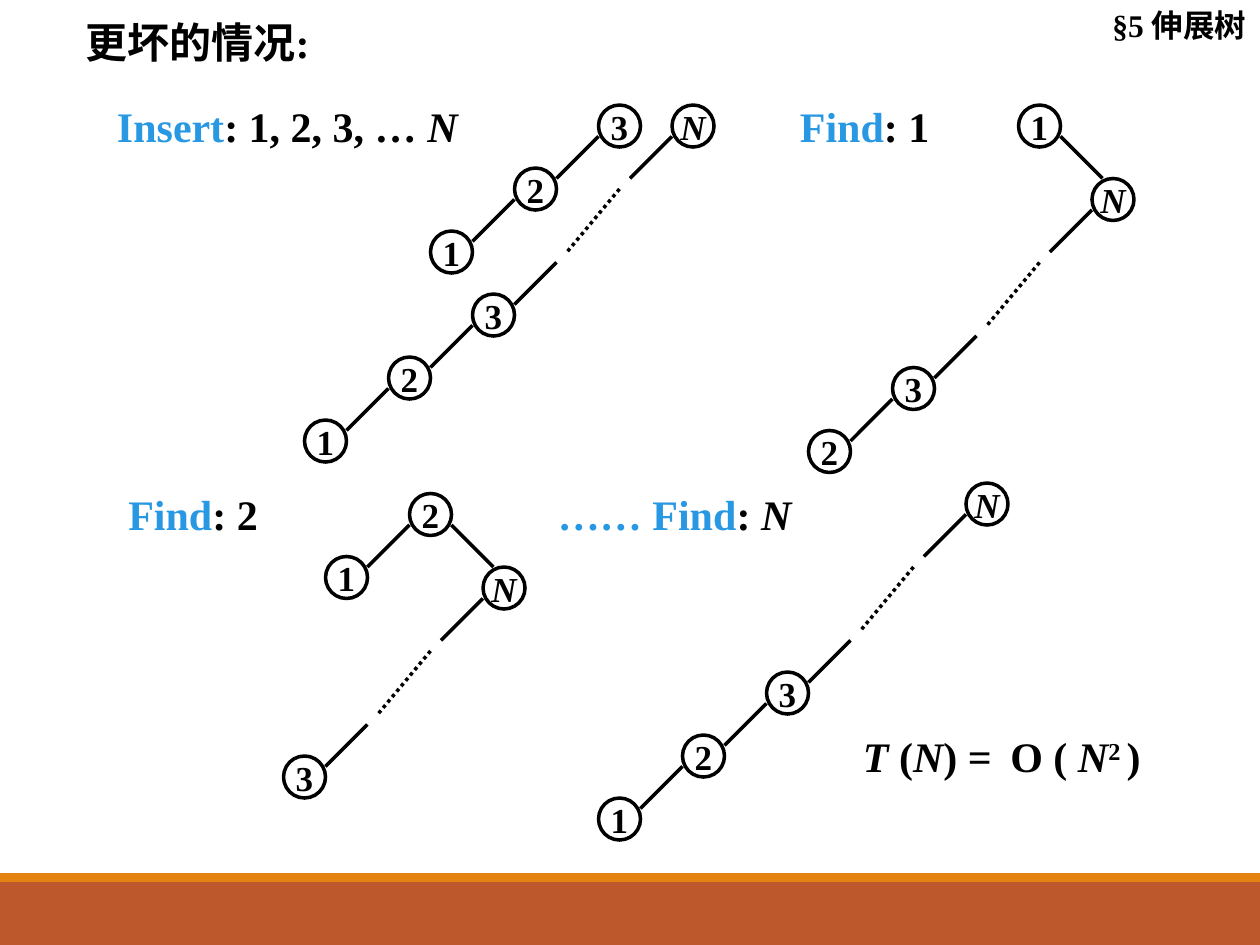
"""Build the splay tree worst-case slide with five example trees."""
from lxml.etree import SubElement
from pptx import Presentation
from pptx.dml.color import RGBColor
from pptx.enum.dml import MSO_LINE
from pptx.enum.shapes import MSO_CONNECTOR, MSO_SHAPE
from pptx.enum.text import MSO_ANCHOR, PP_ALIGN
from pptx.oxml.ns import qn
from pptx.util import Inches, Pt

BLACK, BLUE = "000000", "2998E3"
color = RGBColor.from_string


def write_runs(text_frame, runs, size=24, align=PP_ALIGN.LEFT):
    """Fill the first paragraph with (text, style) runs."""
    paragraph = text_frame.paragraphs[0]
    paragraph.alignment = align
    paragraph.font.size = Pt(size)
    paragraph.font.name = "Times New Roman"
    paragraph.font.bold = True
    for text, style in runs:
        run = paragraph.add_run()
        run.text = text
        run.font.color.rgb = color(BLUE if style == "blue" else BLACK)
        if style == "italic":
            run.font.italic = True
        if style == "super":
            run._r.get_or_add_rPr().set("baseline", "30000")


presentation = Presentation()
presentation.slide_width, presentation.slide_height = Inches(10), Inches(7.5)
slide = presentation.slides.add_slide(presentation.slide_layouts[5])

for top, height, fill in [(7, 0.5, "BD582C"), (6.93, 0.07, "E48312")]:
    bar = slide.shapes.add_shape(
        MSO_SHAPE.RECTANGLE, 0, Inches(top), Inches(10), Inches(height))
    bar.shadow.inherit = False
    bar.fill.solid()
    bar.fill.fore_color.rgb = color(fill)
    bar.line.fill.background()

title = slide.shapes.title
title.left, title.top = Inches(0.58), Inches(0.08)
title.width, title.height = Inches(4.08), Inches(0.5)
title.text_frame.vertical_anchor = MSO_ANCHOR.TOP
write_runs(title.text_frame, [("更坏的情况:", "")])

header = slide.shapes.add_textbox(Inches(7.83), 0, Inches(2.16), Inches(0.4))
header.text_frame.word_wrap = True
write_runs(header.text_frame, [("§5 伸展树", "")], 18, PP_ALIGN.RIGHT)

labels = [
    (0.83, 0.75, 4.08, [("Insert", "blue"), (": 1, 2, 3, … ", ""), ("N", "italic")]),
    (6.25, 0.75, 1.42, [("Find", "blue"), (": 1", "")]),
    (0.92, 3.83, 1.42, [("Find", "blue"), (": 2", "")]),
    (4.33, 3.83, 2.58, [("…… Find", "blue"), (": ", ""), ("N", "italic")]),
    (6.75, 5.75, 1.42, [("T", "italic"), (" (", ""), ("N", "italic"), (") =", "")]),
    (7.92, 5.75, 1.5, [("O ( ", ""), ("N", "italic"), ("2 ", "super"), (")", "")]),
]
for left, top, width, runs in labels:
    label = slide.shapes.add_textbox(
        Inches(left), Inches(top), Inches(width), Inches(0.5))
    label.text_frame.word_wrap = True
    write_runs(label.text_frame, runs)

UNIT = Inches(1) // 12
NODE_SIZE = 4
child_offsets = {"left": (-8, 6), "right": (7, 7), "gap": (-19, 18)}
branch_lines = {
    "left": [(0, 3, -4, 7)],
    "right": [(4, 3, 8, 7)],
    "gap": [(0, 3, -4, 7), (-5, 8, -10, 14), (-11, 15, -15, 19)],
}
trees = [
    ("3", 57, 10, [("3", "left", "2"), ("2", "left", "1")]),
    ("N", 64, 10, [("N", "gap", "3"), ("3", "left", "2"), ("2", "left", "1")]),
    ("1", 97, 10, [("1", "right", "N"), ("N", "gap", "3"), ("3", "left", "2")]),
    ("2", 39, 47, [("2", "left", "1"), ("2", "right", "N"), ("N", "gap", "3")]),
    ("N", 92, 46, [("N", "gap", "3"), ("3", "left", "2"), ("2", "left", "1")]),
]
for root, root_x, root_y, branches in trees:
    group = slide.shapes.add_group_shape()
    nodes = {root: (root_x, root_y)}
    for parent, kind, child in branches:
        x, y = nodes[parent]
        dx, dy = child_offsets[kind]
        nodes[child] = (x + dx, y + dy)
        for index, (x1, y1, x2, y2) in enumerate(branch_lines[kind]):
            edge = group.shapes.add_connector(
                MSO_CONNECTOR.STRAIGHT, (x + x1) * UNIT, (y + y1) * UNIT,
                (x + x2) * UNIT, (y + y2) * UNIT)
            edge.line.color.rgb = color(BLACK)
            edge.line.width = Pt(2)
            if index == 1:
                edge.line.dash_style = MSO_LINE.ROUND_DOT
            SubElement(edge._element.spPr, qn("a:effectLst"))
    for name, (x, y) in nodes.items():
        node = group.shapes.add_shape(
            MSO_SHAPE.OVAL, x * UNIT, y * UNIT, NODE_SIZE * UNIT, NODE_SIZE * UNIT)
        node.shadow.inherit = False
        node.fill.background()
        node.line.color.rgb = color(BLACK)
        node.line.width = Pt(2)
        node.text_frame.word_wrap = False
        node.text_frame.vertical_anchor = MSO_ANCHOR.MIDDLE
        style = "italic" if name == "N" else ""
        write_runs(node.text_frame, [(name, style)], 20, PP_ALIGN.CENTER)

presentation.save("out.pptx")
